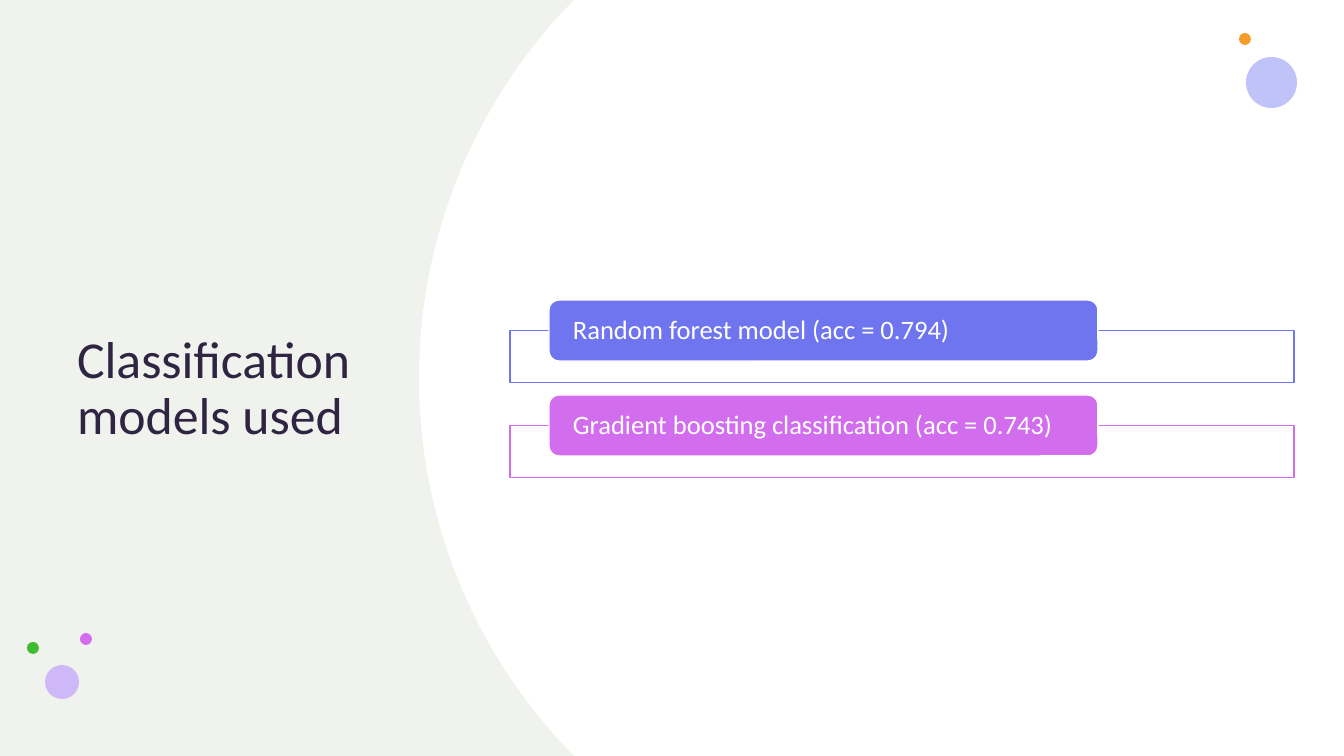
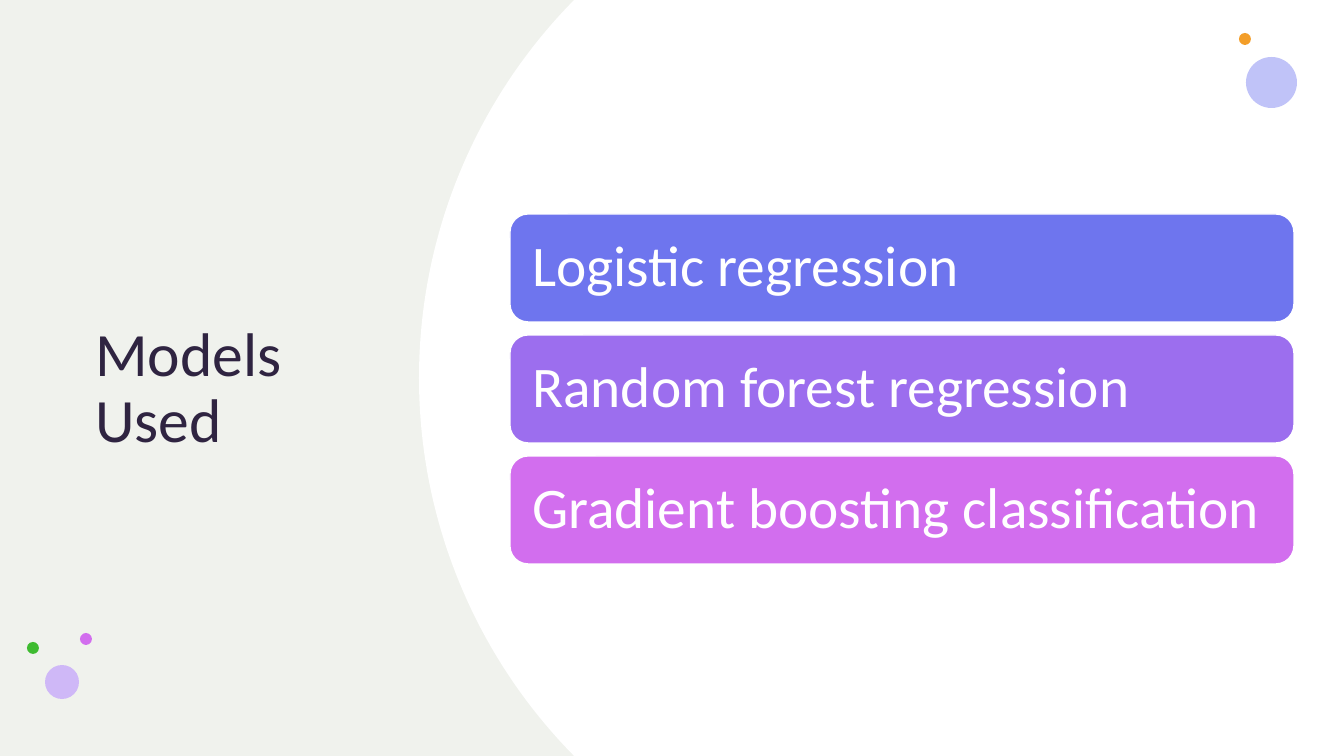
from math import asin, cos, sin

from pptx import Presentation
from pptx.dml.color import RGBColor
from pptx.enum.shapes import MSO_SHAPE as SHAPE
from pptx.enum.text import MSO_ANCHOR as ANCHOR, MSO_AUTO_SIZE as AUTO, PP_ALIGN as ALIGN
from pptx.util import Pt

W, H = 1344, 756
EMU_PER_PX = 914400 / 100.8
FONT = "Calibri"
COLORS = {
    "panel": "F0F2ED", "white": "FFFFFF", "ink": "2F2441",
    "blue": "6E75EE", "purple": "9C6EEE", "pink": "D26EEE",
    "mist": "C0C3F8", "lilac": "CFB8F7", "orange": "F39E29", "green": "3EBB30",
}
DOTS = [
    (1246, 57, 51, "mist"), (1239, 33, 12, "orange"), (80, 633, 12, "pink"),
    (45, 665, 34, "lilac"), (27, 642, 12, "green"),
]
CURVE_LEFT, CURVE_RADIUS, CURVE_STEPS = 419, 538, 80
LIST_LEFT, LIST_WIDTH = 510, 784

SLIDES = [
    {
        "title": "Classification models used", "title_left": 67, "title_size": 37,
        "cards": [("Random forest model (acc = 0.794)", "blue"),
                  ("Gradient boosting classification (acc = 0.743)", "pink")],
        "left": 549, "top": 300, "width": 549, "height": 61, "pitch": 95,
        "size": 19, "inset": 21, "frame_height": 52,
    },
    {
        "title": "Models Used", "title_left": 85, "title_size": 44,
        "cards": [("Logistic regression", "blue"),
                  ("Random forest regression", "purple"),
                  ("Gradient boosting classification", "pink")],
        "left": LIST_LEFT, "top": 214, "width": LIST_WIDTH, "height": 108, "pitch": 121,
        "size": 41, "inset": 17, "frame_height": 0,
    },
]


def px(n):
    return round(n * EMU_PER_PX)


def rgb(name):
    return RGBColor.from_string(COLORS[name])


def paint(sp, fill, line=None):
    sp.shadow.inherit = False
    sp.fill.solid()
    sp.fill.fore_color.rgb = rgb(fill)
    if line:
        sp.line.color.rgb = rgb(line)
        sp.line.width = Pt(1)
    else:
        sp.line.fill.background()


def add_box(s, kind, left, top, width, height, fill, line=None):
    sp = s.shapes.add_shape(kind, px(left), px(top), px(width), px(height))
    paint(sp, fill, line)
    return sp


def write(sp, text, size, color, **frame):
    tf = sp.text_frame
    tf.text = text
    frame = {"word_wrap": True, "auto_size": AUTO.NONE,
             "vertical_anchor": ANCHOR.MIDDLE, **frame}
    p = tf.paragraphs[0]
    for target, values in (
        (tf, frame),
        (p, {"alignment": ALIGN.LEFT, "line_spacing": 0.9}),
        (p.runs[0].font, {"name": FONT, "size": Pt(size)}),
    ):
        for key, value in values.items():
            setattr(target, key, value)
    p.runs[0].font.color.rgb = rgb(color)


def add_backdrop(s):
    half = asin(H / 2 / CURVE_RADIUS)
    angles = [half * (1 - 2 * i / CURVE_STEPS) for i in range(CURVE_STEPS + 1)]
    curve = [(px(CURVE_LEFT + CURVE_RADIUS * (1 - cos(a))),
              px(H / 2 + CURVE_RADIUS * sin(a))) for a in angles]
    builder = s.shapes.build_freeform(px(W), px(0))
    builder.add_line_segments([(px(W), px(H)), *curve], close=True)
    paint(builder.convert_to_shape(), "white")
    for left, top, size, color in DOTS:
        add_box(s, SHAPE.OVAL, left, top, size, size, color)


def add_title(s, text, left, size):
    title = s.shapes.title
    place = {"left": left, "top": 105, "width": 401 - left, "height": 569}
    for key, value in place.items():
        setattr(title, key, px(value))
    write(title, text, size, "ink")


def add_cards(s, content):
    inset = px(content["inset"])
    for i, (text, color) in enumerate(content["cards"]):
        top = content["top"] + i * content["pitch"]
        if content["frame_height"]:
            add_box(s, SHAPE.RECTANGLE, LIST_LEFT, top + content["height"] / 2,
                    LIST_WIDTH, content["frame_height"], "white", color)
        card = add_box(s, SHAPE.ROUNDED_RECTANGLE, content["left"], top,
                       content["width"], content["height"], color, "white")
        write(card, text, content["size"], "white", margin_left=inset,
              margin_right=inset, margin_top=0, margin_bottom=0)


def main():
    prs = Presentation()
    prs.slide_width, prs.slide_height = px(W), px(H)
    layout = prs.slide_layouts[5]
    layout.background.fill.solid()
    layout.background.fill.fore_color.rgb = rgb("panel")
    for content in SLIDES:
        s = prs.slides.add_slide(layout)
        add_backdrop(s)
        add_title(s, content["title"], content["title_left"], content["title_size"])
        add_cards(s, content)
    prs.save("out.pptx")


if __name__ == "__main__":
    main()
